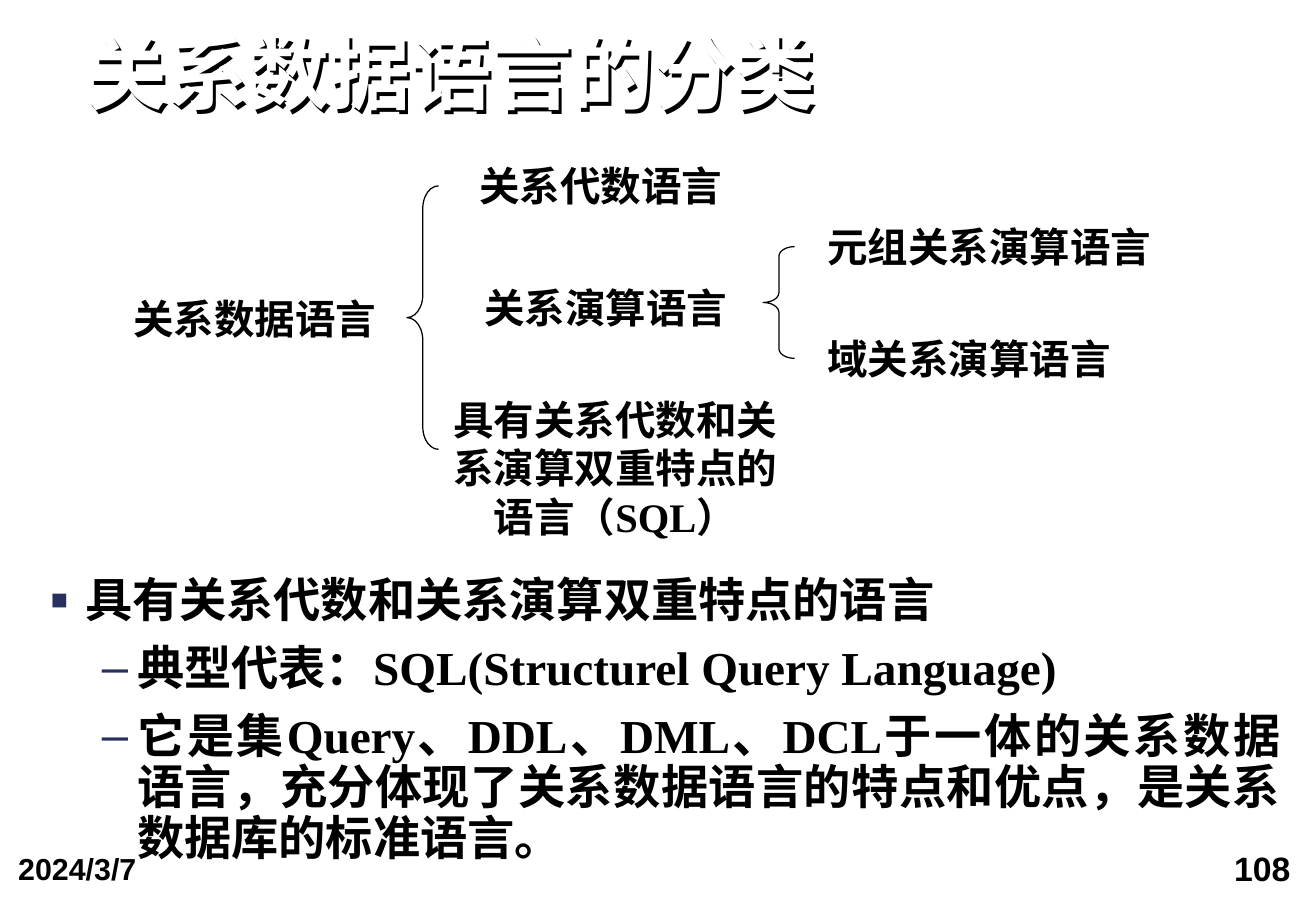
"""Build the slide on the classification of relational data languages."""
import pptx
import pptx.dml.color
import pptx.enum.lang
import pptx.enum.shapes
import pptx.enum.text
import pptx.oxml
import pptx.oxml.ns
import pptx.util

BLACK = pptx.dml.color.RGBColor(0x00, 0x00, 0x00)
WHITE = pptx.dml.color.RGBColor(0xFF, 0xFF, 0xFF)
NAVY = pptx.dml.color.RGBColor(0x27, 0x30, 0x5F)
SLIDE_WIDTH = pptx.util.Inches(10.83)
SLIDE_HEIGHT = pptx.util.Inches(7.5)
ALIGN = pptx.enum.text.PP_ALIGN
ANCHOR = pptx.enum.text.MSO_ANCHOR
LABEL_HEIGHT = 6.67
BRACE_WIDTH = 2.4

LABELS = [
    ("关系数据语言", (8.59, 31.6, 21.51, LABEL_HEIGHT), ALIGN.CENTER),
    ("关系代数语言", (32.5, 17.07, 26.32, LABEL_HEIGHT), ALIGN.CENTER),
    ("关系演算语言", (31.67, 30.4, 28.72, LABEL_HEIGHT), ALIGN.CENTER),
    ("具有关系代数和关系演算双重特点的语言（SQL）",
     (33.24, 42.67, 27.05, 17.33), ALIGN.CENTER),
    ("元组关系演算语言", (61.96, 23.73, 29.46, LABEL_HEIGHT), ALIGN.LEFT),
    ("域关系演算语言", (61.96, 36, 25.48, LABEL_HEIGHT), ALIGN.LEFT),
]
BRACES = [
    ((30.93, 20.4, BRACE_WIDTH, 28.93), 0.72),
    ((57.99, 27.07, BRACE_WIDTH, 12.27), 0.31),
]
FOOTERS = [
    ("2024/3/7", (0.18, 92.53, 23.18, 7.47), 18, ALIGN.LEFT),
    ("108", (73.96, 92.27, 25.3, 7.73), 20, ALIGN.RIGHT),
]
POINTS = [
    (0, "具有关系代数和关系演算双重特点的语言"),
    (1, "典型代表：SQL(Structurel Query Language)"),
    (1, "它是集Query、DDL、DML、DCL于一体的关系数据语言，"
        "充分体现了关系数据语言的特点和优点，是关系数据库的标准语言。"),
]
BULLETS = [("■", 60, 0.28, 0.28), ("–", 100, 0.71, 0.29)]


def share(area):
    """Turn percentages of the slide's size into left, top, width and height."""
    sizes = (SLIDE_WIDTH, SLIDE_HEIGHT) * 2
    return [round(size * part / 100) for size, part in zip(sizes, area)]


def write(paragraph, text, size=24, font="Times New Roman", color=BLACK,
          align=ALIGN.LEFT, spacing=None, before=0):
    """Write bold text into a paragraph."""
    run = paragraph.add_run()
    run.text = text
    run.font.size = pptx.util.Pt(size)
    run.font.name = font
    run.font.bold = True
    run.font.color.rgb = color
    run.font.language_id = pptx.enum.lang.MSO_LANGUAGE_ID.SIMPLIFIED_CHINESE
    paragraph.alignment = align
    paragraph.line_spacing = spacing
    paragraph.space_before = pptx.util.Pt(before)


def set_frame(frame, across, down, anchor=ANCHOR.TOP):
    """Set the wrapping, insets in inches and anchor of a text frame."""
    frame.word_wrap = True
    frame.auto_size = pptx.enum.text.MSO_AUTO_SIZE.NONE
    frame.vertical_anchor = anchor
    frame.margin_left = frame.margin_right = pptx.util.Inches(across)
    frame.margin_top = frame.margin_bottom = pptx.util.Inches(down)


def add_text(slide, text, area, across=0.1, down=0.05, **style):
    """Add a text box holding one paragraph."""
    frame = slide.shapes.add_textbox(*share(area)).text_frame
    set_frame(frame, across, down)
    write(frame.paragraphs[0], text, **style)


def add_brace(slide, area, curve):
    """Add a thin left brace."""
    shape = slide.shapes.add_shape(
        pptx.enum.shapes.MSO_SHAPE.LEFT_BRACE, *share(area))
    shape.adjustments[0] = curve
    shape.shadow.inherit = False
    shape.fill.background()
    shape.line.color.rgb = BLACK
    shape.line.width = pptx.util.Pt(0.75)


def set_title(slide, text, area):
    """Place the title, unfilled so that its white text casts a dark shadow."""
    title = slide.shapes.title
    title.left, title.top, title.width, title.height = share(area)
    set_frame(title.text_frame, 0, 0, ANCHOR.BOTTOM)
    write(title.text_frame.paragraphs[0], text, size=48, font="Arial",
          color=WHITE, spacing=0.9)
    title.fill.background()
    title.line.fill.background()
    title.shadow.inherit = False
    effects = title._element.spPr.find(pptx.oxml.ns.qn("a:effectLst"))
    effects.append(pptx.oxml.parse_xml(
        f'<a:outerShdw {pptx.oxml.ns.nsdecls("a")} dist="35921" dir="2700000"'
        f' algn="ctr" rotWithShape="0"><a:srgbClr val="{BLACK}"/>'
        '</a:outerShdw>'))


def add_bullet(paragraph, level):
    """Give a paragraph the bullet and hanging indent of its level."""
    character, percent, margin, hanging = BULLETS[level]
    paragraph.level = level
    properties = paragraph._p.get_or_add_pPr()
    properties.set("marL", str(pptx.util.Inches(margin)))
    properties.set("indent", str(-pptx.util.Inches(hanging)))
    for tag, content in (
            ("buClr", f'><a:srgbClr val="{NAVY}"/></a:buClr>'),
            ("buSzPct", f' val="{percent * 1000}"/>'),
            ("buFont", ' typeface="Arial"/>'),
            ("buChar", f' char="{character}"/>')):
        properties.append(pptx.oxml.parse_xml(
            f'<a:{tag} {pptx.oxml.ns.nsdecls("a")}{content}'))


def add_points(slide, points, area):
    """Add the bulleted text."""
    frame = slide.shapes.add_textbox(*share(area)).text_frame
    set_frame(frame, 0, 0)
    for index, (level, text) in enumerate(points):
        paragraph = frame.add_paragraph() if index else frame.paragraphs[0]
        add_bullet(paragraph, level)
        write(paragraph, text, size=28, align=ALIGN.JUSTIFY, spacing=0.9,
              before=10 if index else 0)


def main():
    """Build and save the slide."""
    presentation = pptx.Presentation()
    presentation.slide_width = SLIDE_WIDTH
    presentation.slide_height = SLIDE_HEIGHT
    slide = presentation.slides.add_slide(presentation.slide_layouts[5])
    set_title(slide, "关系数据语言的分类", (6.56, 3.73, 89.1, 9.6))
    for text, area, align in LABELS:
        add_text(slide, text, area, align=align)
    for area, curve in BRACES:
        add_brace(slide, area, curve)
    add_points(slide, POINTS, (3.88, 63.33, 93.44, 32.4))
    for text, area, size, align in FOOTERS:
        add_text(slide, text, area, across=0.13, down=0.06, size=size,
                 font="Arial", align=align)
    presentation.save("out.pptx")


if __name__ == "__main__":
    main()
